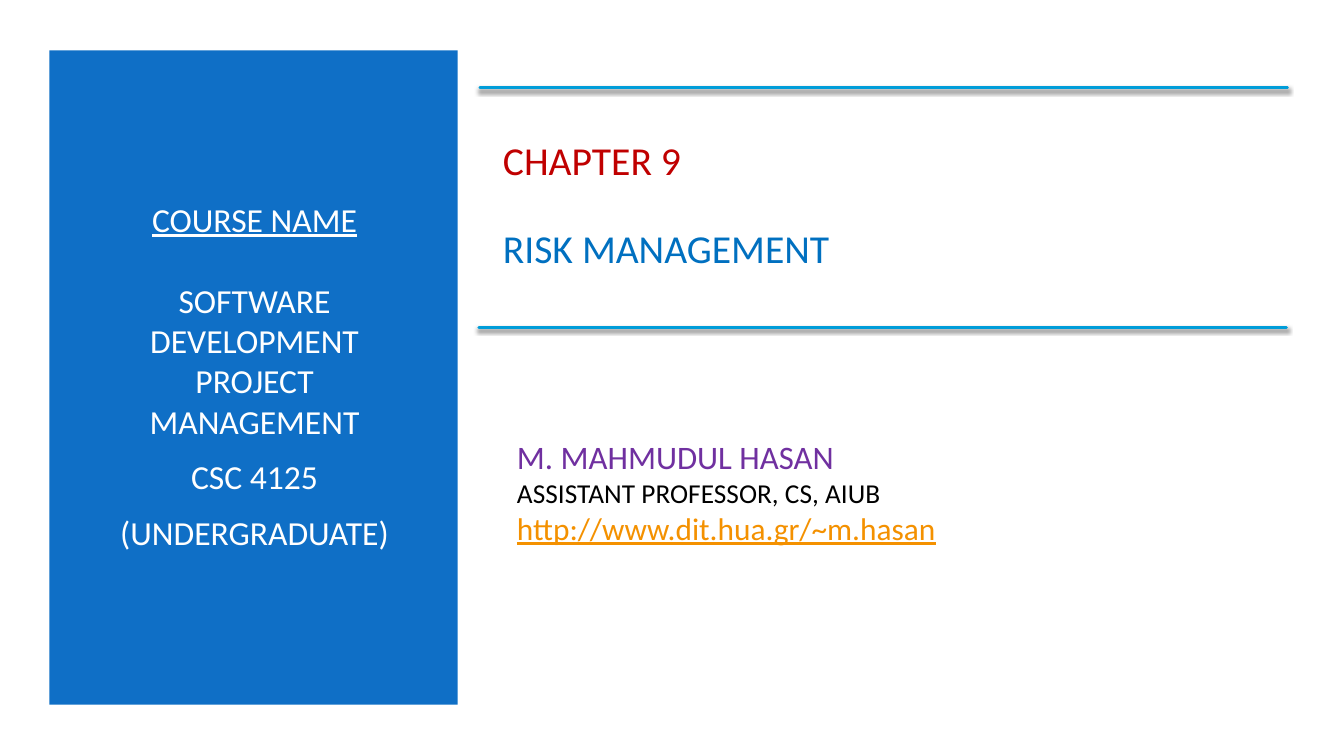
"""Build the chapter title slide of a software project management course."""
from lxml import etree
from pptx import Presentation
from pptx import util as u
from pptx.dml import color
from pptx.enum import shapes, text
from pptx.oxml import ns

WIDTH, HEIGHT = u.Inches(13.33), u.Inches(7.5)
COLUMN, ROW = WIDTH / 100, HEIGHT / 100


def paint(target, value):
    """Give a fill a solid colour."""
    target.solid()
    target.fore_color.rgb = color.RGBColor.from_string(value)


def grid(*shares):
    """Turn percentages of the slide into alternating x and y lengths."""
    return [int(share * unit) for share, unit in zip(shares, (COLUMN, ROW) * 2)]


deck = Presentation()
deck.slide_width, deck.slide_height = WIDTH, HEIGHT
page = deck.slides.add_slide(deck.slide_layouts[6])
paint(page.background.fill, "FFFFFF")

panel = page.shapes.add_shape(shapes.MSO_SHAPE.RECTANGLE, *grid(3.68, 6.67, 30.38, 86.53))
panel.shadow.inherit = False
paint(panel.fill, "0F6FC6")
panel.line.fill.background()

center, left = text.PP_ALIGN.CENTER, text.PP_ALIGN.LEFT
blocks = [
    ((6.3, 14.67, 25.28, 70), center, [
        ("COURSE NAME", 24, "FFFFFF", True, 0),
        ("SOFTWARE DEVELOPMENT PROJECT MANAGEMENT", 24, "FFFFFF", False, 28.8),
        ("CSC 4125", 24, "FFFFFF", False, 11),
        ("(UNDERGRADUATE)", 24, "FFFFFF", False, 11),
    ]),
    ((36.68, 14.67, 58.89, 24.53), left, [
        ("CHAPTER 9", 28.3, "C00000", False, 0),
        ("RISK MANAGEMENT", 28.3, "0070C0", False, 29),
    ]),
    ((37.73, 54.67, 49.96, 20.8), left, [
        ("M. MAHMUDUL HASAN", 23.4, "7030A0", False, 0),
        ("ASSISTANT PROFESSOR, CS, AIUB", 19.5, "000000", False, 0),
        ("http://www.dit.hua.gr/~m.hasan", 22.4, "F49100", True, 0),
    ]),
]
for area, alignment, lines in blocks:
    frame = page.shapes.add_textbox(*grid(*area)).text_frame
    frame.word_wrap = True
    frame.vertical_anchor = text.MSO_ANCHOR.MIDDLE
    for index, (wording, size, ink, underlined, gap) in enumerate(lines):
        para = frame.add_paragraph() if index else frame.paragraphs[0]
        para.text = wording
        para.alignment = alignment
        para.space_before = u.Pt(gap)
        para.font.name = "Calibri"
        para.font.size = u.Pt(size)
        para.font.underline = underlined
        paint(para.font.fill, ink)

for start, level in ((35.71, 11.6), (35.63, 43.33)):
    rule = page.shapes.add_connector(
        shapes.MSO_CONNECTOR.STRAIGHT, *grid(start, level, start + 60.09, level))
    paint(rule.line.fill, "009DD9")
    rule.line.width = u.Pt(2)
    rule.line._get_or_add_ln().set("cap", "rnd")
    effects = etree.SubElement(rule._element.spPr, ns.qn("a:effectLst"))
    shadow = etree.SubElement(effects, ns.qn("a:outerShdw"), blurRad=str(u.Pt(3)),
                              dist=str(u.Pt(2)), dir="5400000", rotWithShape="0")
    tint = etree.SubElement(shadow, ns.qn("a:srgbClr"), val="000000")
    etree.SubElement(tint, ns.qn("a:alpha"), val="55000")

deck.save("out.pptx")
